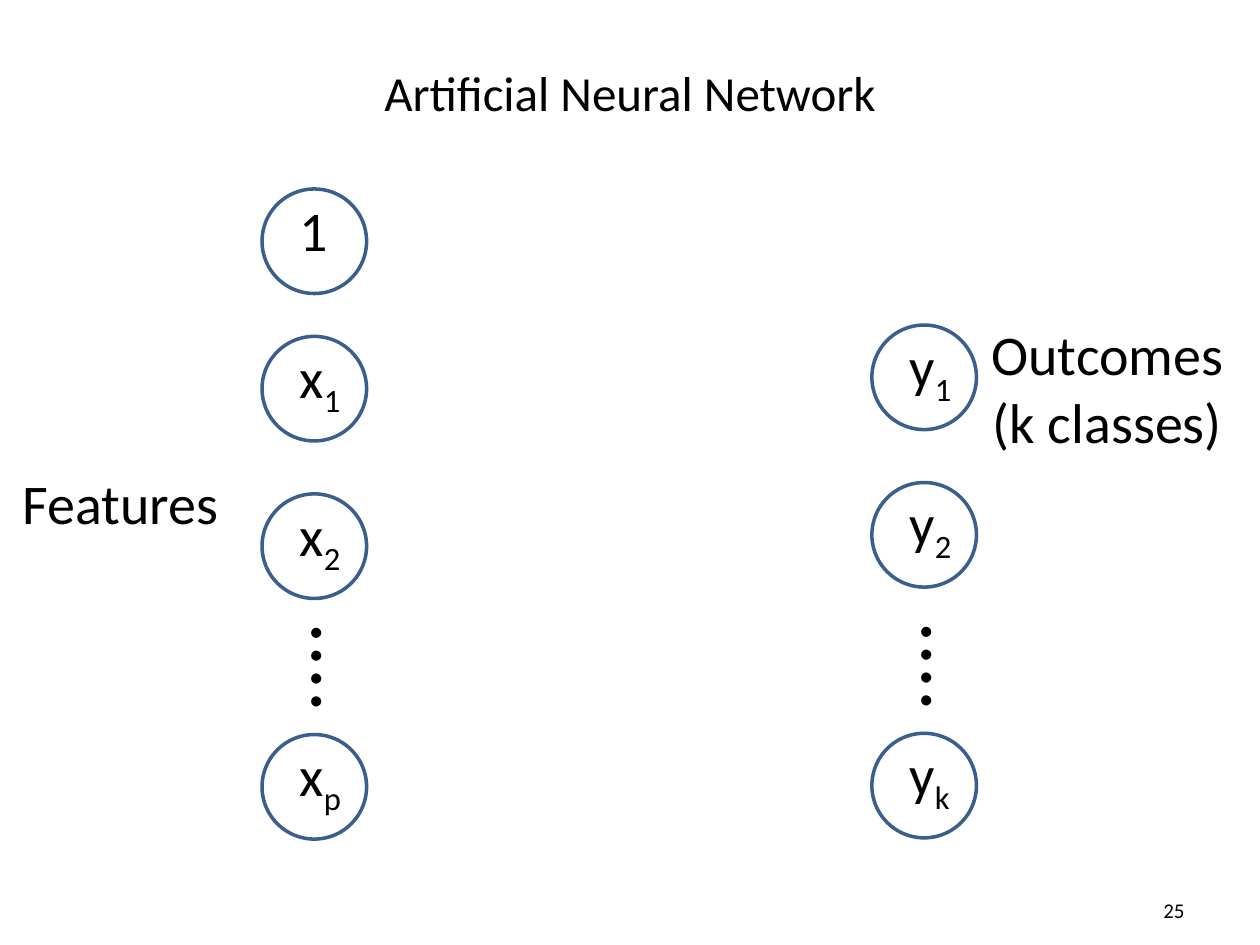
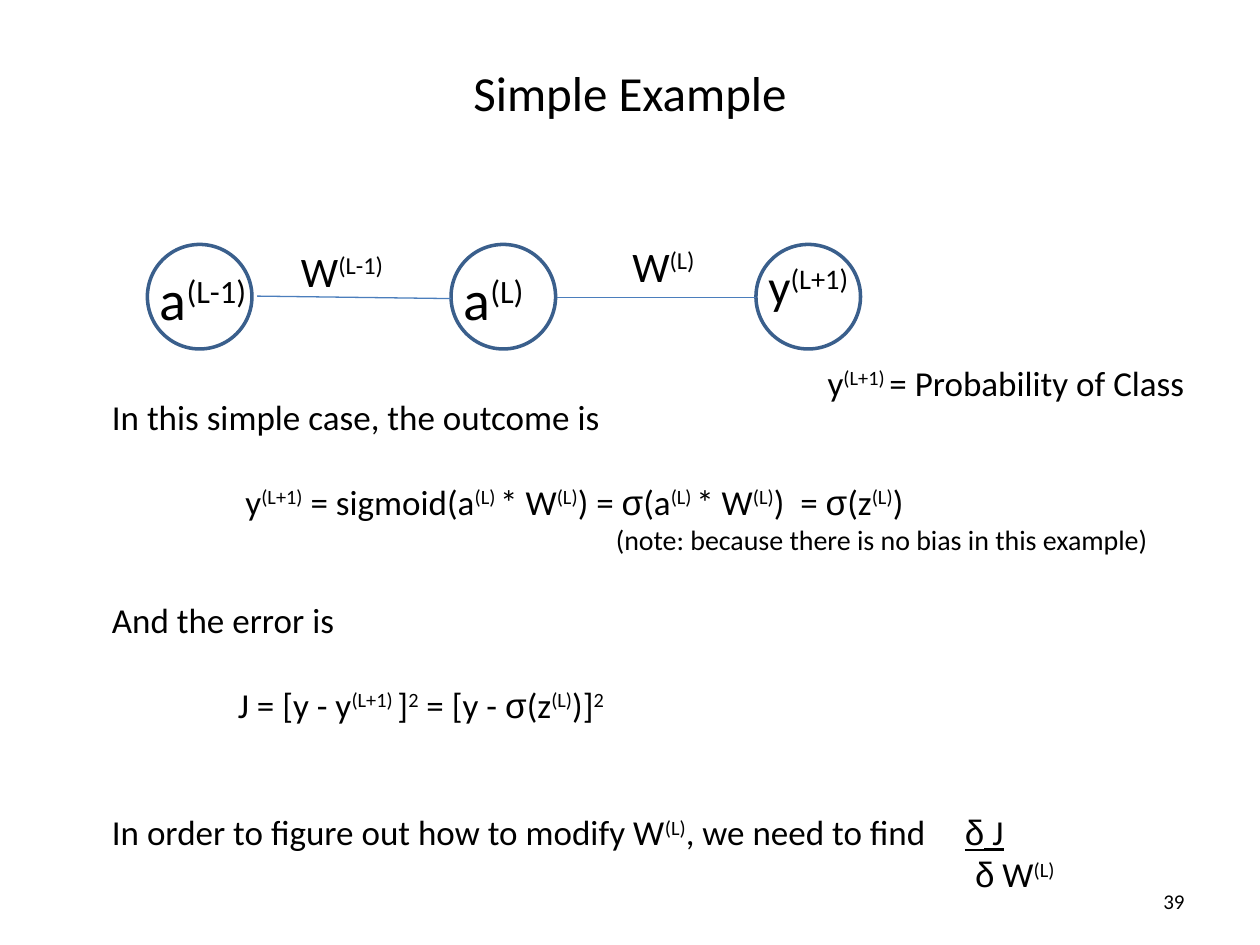
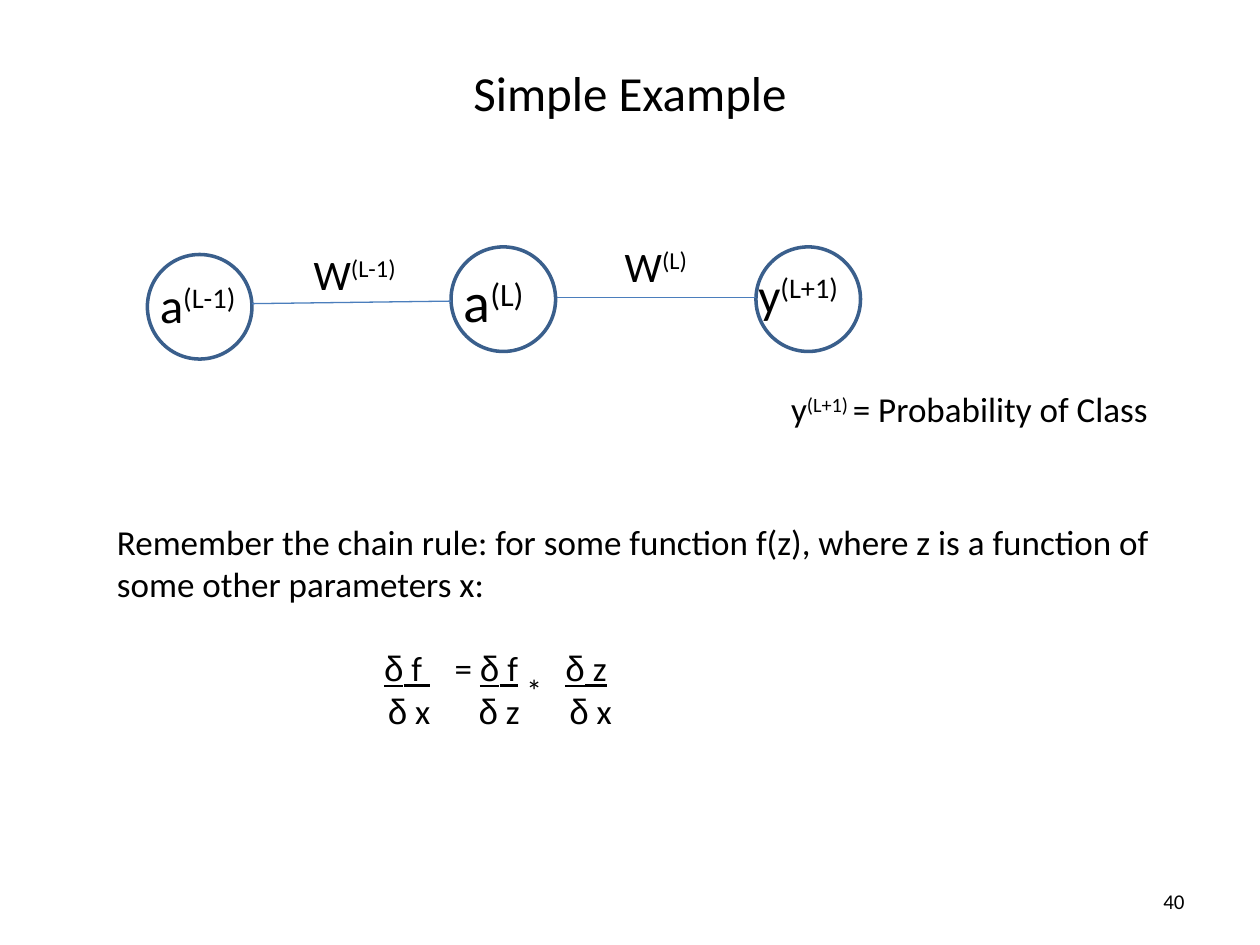
"""Build three slides on neural networks: a layer diagram and a worked example of the chain rule."""
from itertools import groupby

from lxml import etree
from pptx import Presentation
from pptx.dml.color import RGBColor
from pptx.enum import shapes, text as enums
from pptx.oxml import ns
from pptx.util import Inches, Pt

INK = RGBColor(0x00, 0x00, 0x00)
RING = RGBColor(0x3A, 0x5F, 0x8C)
LINK = RGBColor(0x4B, 0x7E, 0xBC)
GREEK = "σδ"
DIAMETER = 0.83
LINE_HEIGHT = 24.4
LEFT, CENTER, RIGHT = enums.PP_ALIGN.LEFT, enums.PP_ALIGN.CENTER, enums.PP_ALIGN.RIGHT
TOP, MIDDLE = enums.MSO_ANCHOR.TOP, enums.MSO_ANCHOR.MIDDLE


def write(page, content, left, top, width, height, size=20, align=LEFT, anchor=TOP, wrap=True):
    """Write a string or (text, blank lines above, tab stops, size) rows; {^a}, {_a}, {ua} raise, lower, underline."""
    box = page.shapes.add_textbox(Inches(left), Inches(top), Inches(width), Inches(height))
    frame = box.text_frame
    frame.word_wrap = wrap
    frame.vertical_anchor = anchor
    if not wrap:
        frame.auto_size = enums.MSO_AUTO_SIZE.SHAPE_TO_FIT_TEXT
    rows = [(content, 0, [], size)] if isinstance(content, str) else content
    for index, (line, blanks, stops, points) in enumerate(rows):
        para = frame.add_paragraph() if index else frame.paragraphs[0]
        para.alignment = align
        para.space_before = Pt(blanks * LINE_HEIGHT)
        if stops:
            tabs = etree.SubElement(para._p.get_or_add_pPr(), ns.qn("a:tabLst"))
            for stop in stops:
                etree.SubElement(tabs, ns.qn("a:tab"), pos=str(Inches(stop)), algn="l")
        for part_index, part in enumerate(line.replace("}", "{").split("{")):
            mark, part = (part[0], part[1:]) if part_index % 2 else ("", part)
            for is_greek, letters in groupby(part, key=lambda letter: letter in GREEK):
                span = para.add_run()
                span.text = "".join(letters)
                span.font.name = "Arial" if is_greek else "Calibri"
                span.font.size = Pt(points)
                span.font.color.rgb = INK
                if mark == "u":
                    span.font.underline = True
                elif mark:
                    span._r.get_or_add_rPr().set("baseline", "30000" if mark == "^" else "-25000")


def add_node(page, left, top, label, label_left, label_top, width, size):
    """Draw a ring and its label."""
    ring = page.shapes.add_shape(shapes.MSO_SHAPE.OVAL, Inches(left), Inches(top),
                                 Inches(DIAMETER), Inches(DIAMETER))
    ring.shadow.inherit = False
    ring.fill.background()
    ring.line.color.rgb = RING
    ring.line.width = Pt(2)
    write(page, label, label_left, label_top, width, size / 50, size=size, wrap=False)


deck = Presentation()
deck.slide_width, deck.slide_height = Inches(10), Inches(7.5)

pages = []
for title, number, number_top in [("Artificial Neural Network", "25", 7.02),
                                  ("Simple Example", "39", 6.95),
                                  ("Simple Example", "40", 6.95)]:
    page = deck.slides.add_slide(deck.slide_layouts[6])
    write(page, title, 0.5, 0.42, 9, 0.62, size=28, align=CENTER, anchor=MIDDLE)
    write(page, number, 7.17, number_top, 2.33, 0.4, size=12, align=RIGHT, anchor=MIDDLE)
    pages.append(page)
network, example, chain_rule = pages

layers = [
    (2.08, 4.78, [("1", 1.5, 0.43), ("x{_1}", 2.67, 0.55), ("x{_2}", 3.92, 0.55), ("x{_p}", 5.83, 0.55)]),
    (6.92, 4.77, [("y{_1}", 2.58, 0.56), ("y{_2}", 3.83, 0.56), ("y{_k}", 5.82, 0.54)]),
]
for left, dots_top, nodes in layers:
    for label, top, width in nodes:
        add_node(network, left, top, label, left + 0.2, top, width, 32)
    write(network, "⁞", left + 0.25, dots_top, 0.5, 0.91, size=48)
write(network, "Features", 0.08, 3.67, 1.77, 0.64, size=32, wrap=False)
write(network, [("Outcomes", 0, [], 32), ("(k classes)", 0, [], 32)],
      7.75, 2.49, 2.08, 1.18, align=CENTER)

chains = [
    (example,
     [(1.17, 1.94, "a{^(L-1)}", 1.17, 2.05, 0.97, 32),
      (3.58, 1.94, "a{^(L)}", 3.58, 2.05, 0.73, 32),
      (6, 1.94, "y{^(L+1)}", 6, 1.98, 0.92, 28)],
     [(2.04, 2.35, 3.58, 2.37), (4.42, 2.36, 6, 2.36)],
     [("W{^(L-1)}", 2.29, 1.9, 0.92), ("W{^(L)}", 4.92, 1.86, 0.73)],
     (6, 2.82)),
    (chain_rule,
     [(1.17, 2.02, "a{^(L-1)}", 1.17, 2.13, 0.87, 28),
      (3.58, 1.96, "a{^(L)}", 3.58, 2.07, 0.73, 32),
      (6, 1.96, "y{^(L+1)}", 5.92, 2.05, 0.92, 28)],
     [(2, 2.41, 3.58, 2.39), (4.42, 2.36, 6, 2.36)],
     [("W{^(L-1)}", 2.39, 1.92, 0.92), ("W{^(L)}", 4.86, 1.86, 0.73)],
     (5.71, 3.03)),
]
for page, nodes, links, weights, (legend_left, legend_top) in chains:
    for node in nodes:
        add_node(page, *node)
    for ends in links:
        link = page.shapes.add_connector(shapes.MSO_CONNECTOR.STRAIGHT, *map(Inches, ends))
        link.line.color.rgb = LINK
        link.line.width = Pt(0.75)
        etree.SubElement(link._element.spPr, ns.qn("a:effectLst"))
    for weight, left, top, width in weights:
        write(page, weight, left, top, width, 0.5, size=24, wrap=False)
    write(page, "y{^(L+1) }= Probability of Class", legend_left, legend_top, 3.97, 0.44, align=CENTER)

write(example, [
    ("In this simple case, the outcome is", 0, [], 20),
    ("\ty{^(L+1)} = sigmoid(a{^(L) }* W{^(L)}) = σ(a{^(L) }* W{^(L)})  = σ(z{^(L)})", 1, [1.06], 20),
    ("\t(note: because there is no bias in this example)", 0, [4], 16),
    ("And the error is", 1, [], 20),
    ("\tJ = [y - y{^(L+1) }]{^2} = [y - σ(z{^(L)})]{^2}", 1, [1], 20),
    ("In order to figure out how to modify W{^(L)}, we need to find\t{uδ J}", 2, [6.77], 20),
    ("\tδ W{^(L)}", 0, [6.85], 20),
], 0.79, 3.09, 8.83, 3.92)

write(chain_rule, [
    ("Remember the chain rule: for some function f(z), where z is a function of "
     "some other parameters x:", 0, [], 20),
    ("\t{uδ f }\t= {uδ f}\t{uδ z}", 1, [2.12, 2.68, 3.56], 20),
    ("\tδ x\tδ z\tδ x", 0, [2.15, 2.87, 3.59], 20),
], 0.83, 4.08, 8.83, 3.4)
write(chain_rule, "*", 4.08, 5.28, 0.33, 0.4, size=18, wrap=False)

deck.save("out.pptx")
